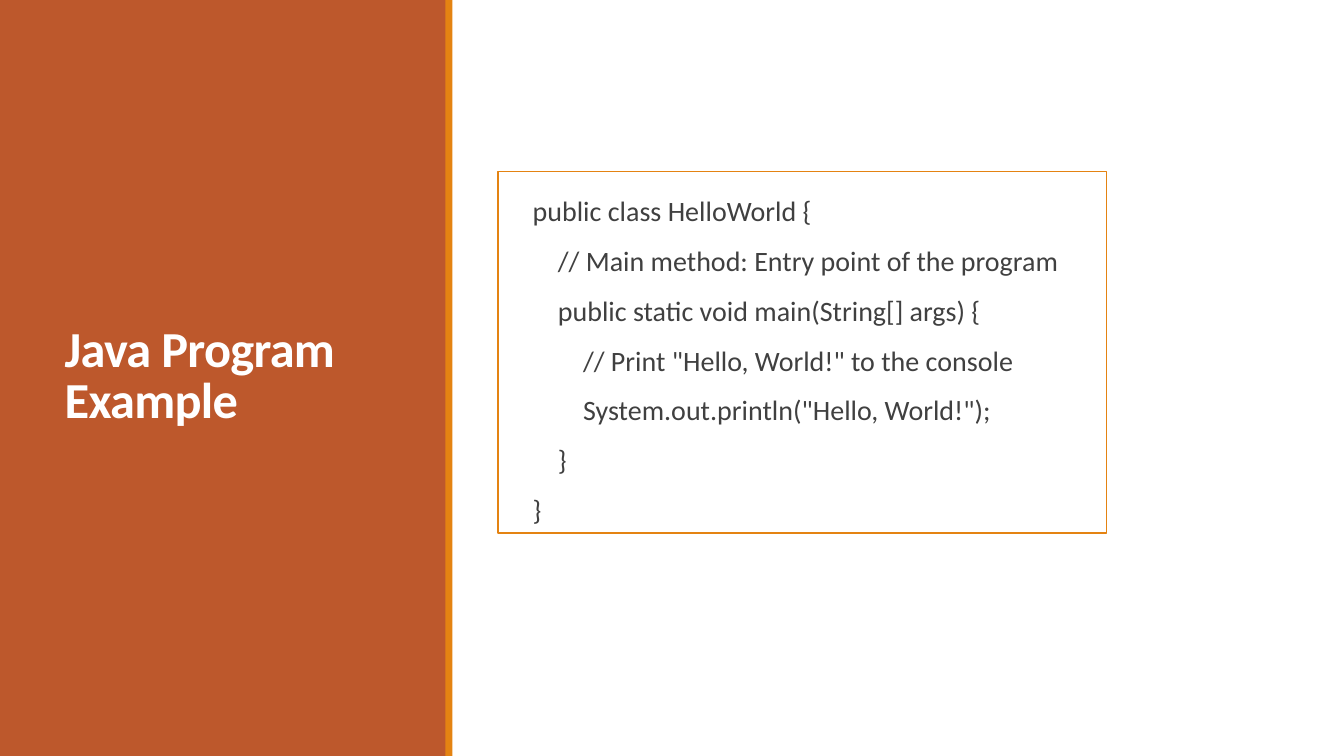
from pptx import Presentation
from pptx.dml.color import RGBColor
from pptx.enum.shapes import MSO_SHAPE
from pptx.enum.text import MSO_ANCHOR, PP_ALIGN
from pptx.util import Pt

RECT = MSO_SHAPE.RECTANGLE
MIDDLE = MSO_ANCHOR.MIDDLE
LEFT = PP_ALIGN.LEFT
FONT = "Calibri"
WIDE, HIGH = 960, 540
HUES = {"rust": "BD582C", "orange": "E48312", "white": "FFFFFF", "ink": "404040"}
STEP = 18
CODE = [
    (0, "public class HelloWorld {"),
    (1, "// Main method: Entry point of the program"),
    (1, "public static void main(String[] args) {"),
    (2, '// Print "Hello, World!" to the console'),
    (2, 'System.out.println("Hello, World!");'),
    (1, "}"),
    (0, "}"),
]


def hue(name):
    """Return the named colour."""
    return RGBColor.from_string(HUES[name])


def block(slide, box, fill, line=None):
    """Add a plain rectangle with an optional outline."""
    shape = slide.shapes.add_shape(RECT, *map(Pt, box))
    shape.shadow.inherit = False
    shape.fill.solid()
    shape.fill.fore_color.rgb = hue(fill)
    if line:
        shape.line.color.rgb = hue(line)
        shape.line.width = Pt(1.25)
    else:
        shape.line.fill.background()


def style(para, size, color, bold=False):
    """Format the runs of a paragraph."""
    for run in para.runs:
        run.font.name = FONT
        run.font.size = Pt(size)
        run.font.bold = bold
        run.font.color.rgb = hue(color)


def panel(slide, box, text):
    """Draw the side panel, its edge stripe and the title."""
    left, top, width, height = box
    block(slide, box, "rust")
    block(slide, (left + width - 0.75, top, 5, height), "orange")
    title = slide.shapes.title
    slide.shapes._spTree.append(title._element)
    title.left, title.top = Pt(left + 39), Pt(top + 47.5)
    title.width, title.height = Pt(width - 76), Pt(height - 95.5)
    frame = title.text_frame
    frame.text = text
    frame.word_wrap = True
    frame.vertical_anchor = MIDDLE
    para = frame.paragraphs[0]
    para.alignment = LEFT
    para.line_spacing = 0.85
    style(para, 36, "white", True)
    for run in para.runs:
        run.font._element.set("spc", "-50")


def listing(slide, box, lines):
    """Draw the framed code listing."""
    left, top, width, height = box
    block(slide, box, "white", "orange")
    area = slide.shapes.add_textbox(
        Pt(left + 25), Pt(top + 18.5), Pt(width - 25), Pt(height - 18.5))
    frame = area.text_frame
    frame.word_wrap = True
    frame.margin_left = frame.margin_right = Pt(0)
    frame.margin_top = frame.margin_bottom = Pt(0)
    for i, (level, text) in enumerate(lines):
        para = frame.paragraphs[0] if i == 0 else frame.add_paragraph()
        para.text = text
        para.alignment = LEFT
        para.line_spacing = 0.9
        para.space_before, para.space_after = Pt(12), Pt(2)
        para._p.get_or_add_pPr().set("marL", str(Pt(level * STEP)))
        style(para, 20, "ink")


def main():
    """Build and save the slide."""
    deck = Presentation()
    deck.slide_width, deck.slide_height = Pt(WIDE), Pt(HIGH)
    slide = deck.slides.add_slide(deck.slide_layouts[5])
    panel(slide, (0, 0, 319, HIGH), "Java Program Example")
    listing(slide, (355.5, 122.5, 435, 258), CODE)
    deck.save("out.pptx")


if __name__ == "__main__":
    main()
